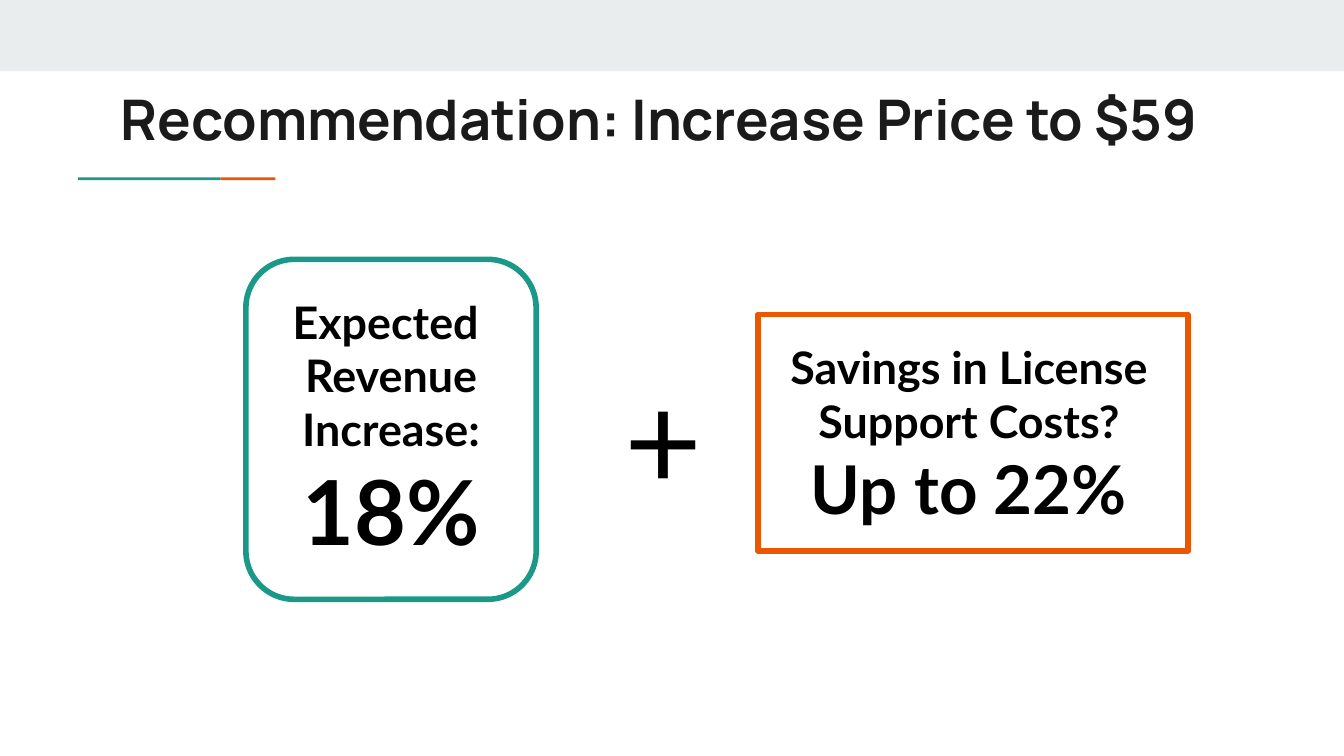
from pptx import Presentation
from pptx.dml.color import RGBColor
from pptx.enum.shapes import MSO_SHAPE as Shape
from pptx.enum.text import MSO_ANCHOR as Anchor, PP_ALIGN as Align
from pptx.util import Inches, Pt

TEAL, ORANGE, BAND = "1A9988", "EB5600", "E9EDEE"
INK, BLACK = "1A1A1A", "000000"


def color(hex_code):
    """Turn a hex string into a colour."""
    return RGBColor.from_string(hex_code)


def add_bar(slide, box, fill):
    """Add a filled rectangle without an outline."""
    bar = slide.shapes.add_shape(Shape.RECTANGLE, *map(Inches, box))
    bar.shadow.inherit = False
    bar.fill.solid()
    bar.fill.fore_color.rgb = color(fill)
    bar.line.fill.background()


def add_frame(slide, kind, box, outline):
    """Add an unfilled frame with a thick outline."""
    frame = slide.shapes.add_shape(kind, *map(Inches, box))
    frame.shadow.inherit = False
    frame.fill.background()
    frame.line.color.rgb = color(outline)
    frame.line.width = Pt(3)


def add_text(slide, box, lines, font="Lato", ink=BLACK, bold=True, align=Align.CENTER):
    """Add a text box with one paragraph per (wording, size) pair."""
    frame = slide.shapes.add_textbox(*map(Inches, box)).text_frame
    frame.word_wrap = True
    frame.vertical_anchor = Anchor.TOP
    frame.margin_left = frame.margin_right = Inches(0.1)
    frame.margin_top = frame.margin_bottom = Inches(0.1)
    for index, (wording, size) in enumerate(lines):
        paragraph = frame.paragraphs[0] if index == 0 else frame.add_paragraph()
        paragraph.text = wording
        paragraph.alignment = align
        paragraph.font.name = font
        paragraph.font.size = Pt(size)
        paragraph.font.bold = bold
        paragraph.font.color.rgb = color(ink)


def main():
    """Build the price recommendation slide."""
    deck = Presentation()
    deck.slide_width = Inches(10)
    deck.slide_height = deck.slide_width * 9 // 16
    slide = deck.slides.add_slide(deck.slide_layouts[6])

    add_bar(slide, (0, 0, 10, 0.53), BAND)
    add_bar(slide, (1.64, 1.32, 0.41, 0.02), ORANGE)
    add_bar(slide, (0.58, 1.32, 1.06, 0.02), TEAL)
    add_text(slide, (0.8, 0.53, 8.41, 1.5),
             [("Recommendation: Increase Price to $59", 30)],
             font="Manrope", ink=INK, align=Align.LEFT)

    add_text(slide, (5.58, 2.43, 3.26, 2.28),
             [("Savings in License", 24), ("Support Costs?", 24), ("Up to 22%", 36)])
    add_text(slide, (1.83, 2.09, 2.16, 2.88),
             [("Expected ", 24), ("Revenue", 24), ("Increase:", 24), ("18%", 48)])
    add_text(slide, (4.55, 2.55, 1.17, 1.59), [("+", 72)], bold=False, align=Align.LEFT)

    add_frame(slide, Shape.ROUNDED_RECTANGLE, (1.83, 1.93, 2.16, 2.53), TEAL)
    add_frame(slide, Shape.RECTANGLE, (5.64, 2.34, 3.2, 1.76), ORANGE)
    deck.save("out.pptx")


if __name__ == "__main__":
    main()
